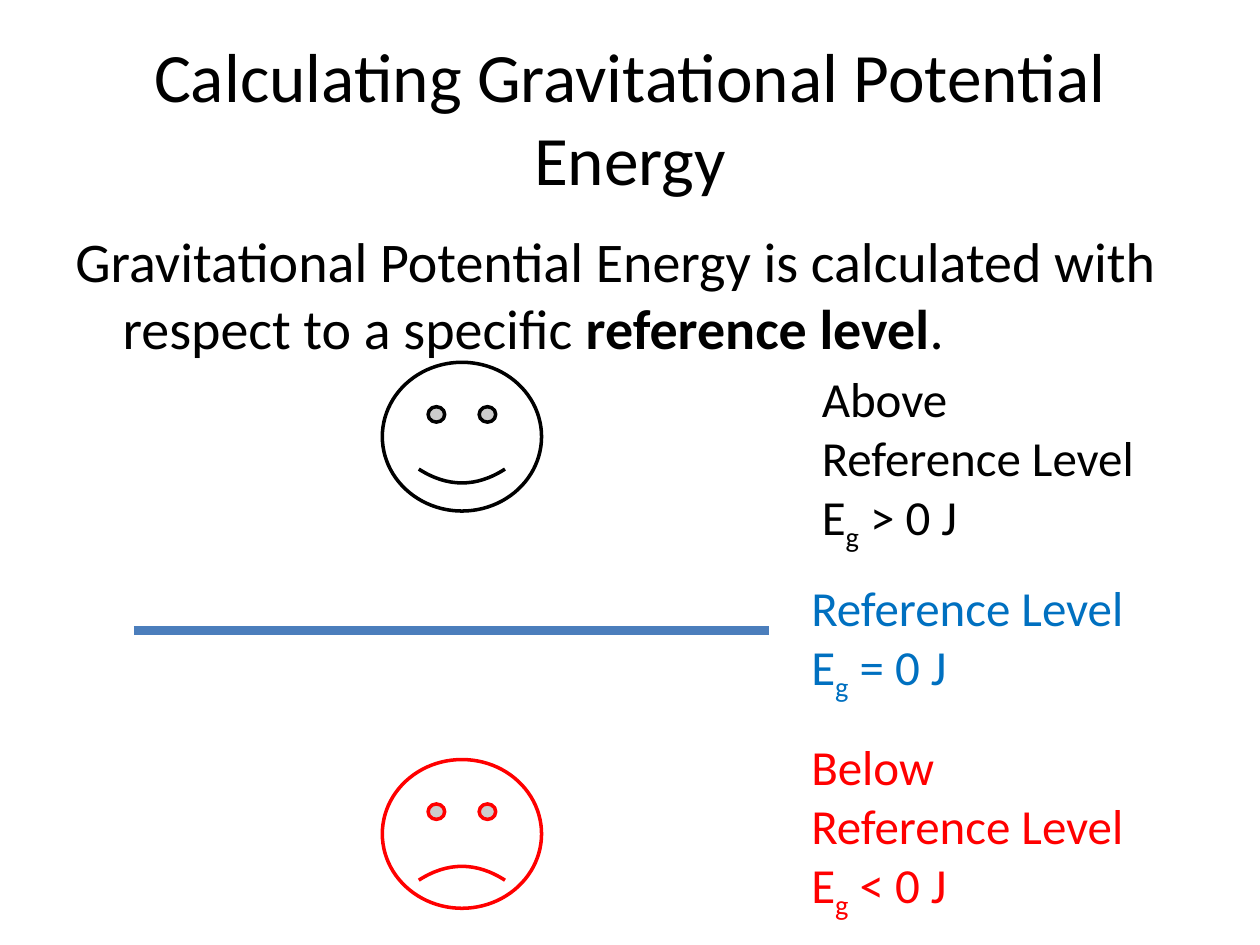
from lxml import etree
from pptx import Presentation
from pptx import util as u
from pptx.dml.color import RGBColor
from pptx.enum import shapes, text
from pptx.oxml import ns

Pt = u.Pt
FONT = "Calibri"
COLORS = {"ink": "000000", "paper": "FFFFFF", "level": "0070C0",
          "line": "4B7EBC", "below": "FF0000"}


def rgb(name):
    return RGBColor.from_string(COLORS[name])


def add_text(slide, box, paragraphs, size, color, frame_format=None):
    """Each paragraph is a list of (words, font format, baseline) runs."""
    frame = slide.shapes.add_textbox(*map(Pt, box)).text_frame
    for name, value in {"word_wrap": True, **(frame_format or {})}.items():
        setattr(frame, name, value)
    for i, runs in enumerate(paragraphs):
        paragraph = frame.paragraphs[0] if i == 0 else frame.add_paragraph()
        for words, font_format, baseline in runs:
            run = paragraph.add_run()
            run.text = words
            for name, value in {"name": FONT, "size": Pt(size), **font_format}.items():
                setattr(run.font, name, value)
            run.font.color.rgb = rgb(color)
            if baseline:
                run._r.get_or_add_rPr().set("baseline", str(baseline))
    return frame


def add_title(slide, box, words):
    frame = add_text(slide, box, [[(words, {}, 0)]], 39.6, "ink",
                     {"vertical_anchor": text.MSO_ANCHOR.MIDDLE})
    frame.paragraphs[0].alignment = text.PP_ALIGN.CENTER


def add_statement(slide, box):
    runs = [("Gravitational Potential Energy is calculated with respect to a specific ", {}, 0),
            ("reference level", {"bold": True}, 0),
            (".", {}, 0)]
    paragraph = add_text(slide, box, [runs], 32, "ink").paragraphs[0]
    paragraph.space_before = Pt(6.4)
    # Hanging indent
    properties = paragraph._p.get_or_add_pPr()
    for name, value in {"marL": 27, "indent": -27}.items():
        properties.set(name, str(Pt(value)))


def add_reference_line(slide, left, right, y):
    line = slide.shapes.add_connector(shapes.MSO_CONNECTOR.STRAIGHT,
                                      Pt(left), Pt(y), Pt(right), Pt(y))
    line.line.color.rgb = rgb("line")
    line.line.width = Pt(5)
    etree.SubElement(line._element.spPr, ns.qn("a:effectLst"))


def add_level_label(slide, box, heading, relation, color):
    energy = [("E", {}, 0), ("g", {}, -25000), (f" {relation} 0 J", {}, 0)]
    add_text(slide, box, [[(heading, {}, 0)], energy], 28, color,
             {"auto_size": text.MSO_AUTO_SIZE.SHAPE_TO_FIT_TEXT})


def add_face(slide, box, color, smile):
    face = slide.shapes.add_shape(shapes.MSO_SHAPE.SMILEY_FACE, *map(Pt, box))
    face.shadow.inherit = False
    face.adjustments[0] = smile
    face.fill.solid()
    face.fill.fore_color.rgb = rgb("paper")
    face.line.color.rgb = rgb(color)
    face.line.width = Pt(2)


def add_levels(slide, box):
    """Reference line, labels at the right, a face above and one below."""
    left, top, width, height = box
    label_left, label_width = left + 380, 204
    add_reference_line(slide, left, left + 363, top + 153.5)
    for dx, dy, label_height, heading, relation, color in [
            (0, 119.5, 75, "Reference Level", "=", "level"),
            (6, 0, 109, "Above Reference Level", ">", "ink"),
            (0, 210.5, 109, "Below Reference Level", "<", "below")]:
        add_level_label(slide, (label_left + dx, top + dy, label_width, label_height),
                        heading, relation, color)
    face_width, face_height = 91, 85
    for dy, color, smile in [(0, "ink", 0.047), (227, "below", -0.047)]:
        add_face(slide, (left + 142, top + dy, face_width, face_height), color, smile)


def main():
    deck = Presentation()
    deck.slide_width, deck.slide_height = Pt(720), Pt(540)
    slide = deck.slides.add_slide(deck.slide_layouts[6])
    add_title(slide, (36, 21.6, 648, 90), "Calculating Gravitational Potential Energy")
    add_statement(slide, (36, 126, 648, 356))
    add_levels(slide, (76.5, 207, 590, 320))
    deck.save("out.pptx")


if __name__ == "__main__":
    main()
